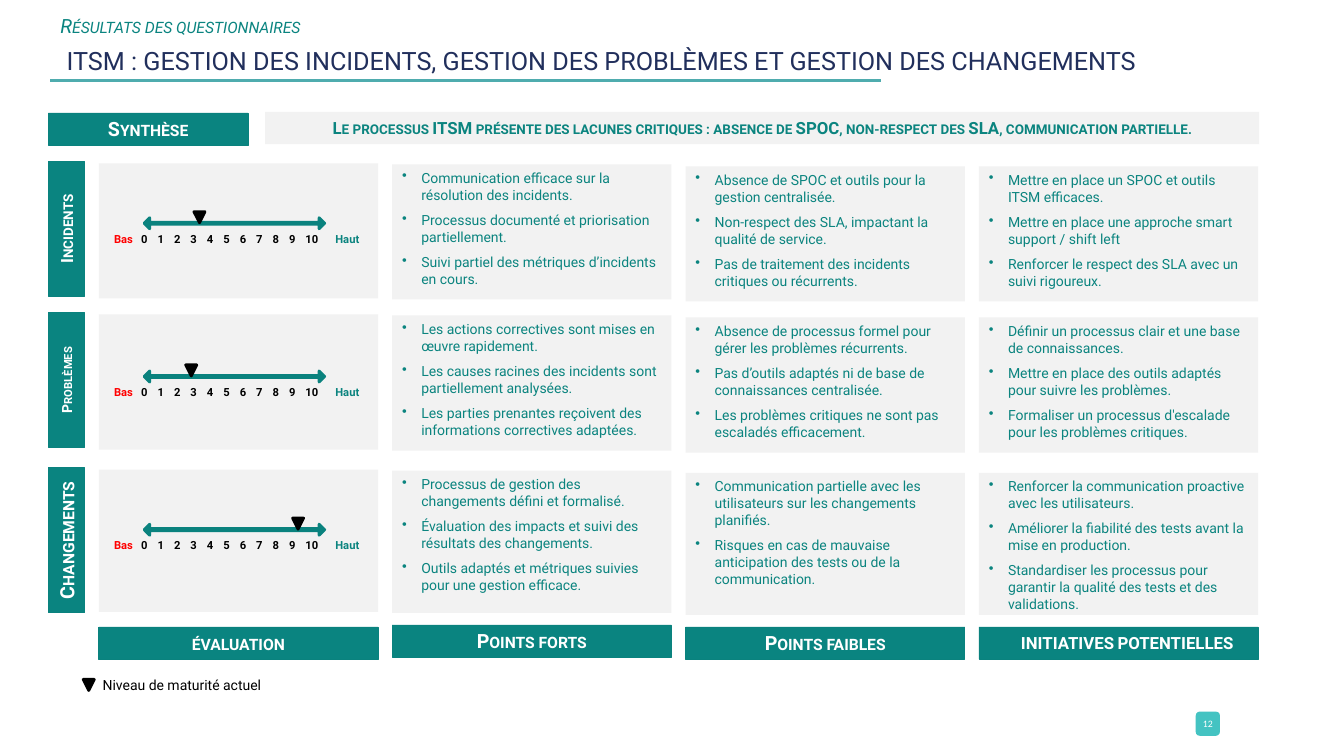
"""Build the ITSM maturity summary slide."""
from dataclasses import dataclass

from lxml import etree
from pptx import Presentation
from pptx.dml.color import RGBColor
from pptx.enum.shapes import MSO_CONNECTOR, MSO_SHAPE
from pptx.enum.text import MSO_ANCHOR, MSO_AUTO_SIZE, PP_ALIGN
from pptx.oxml.ns import qn
from pptx.util import Inches, Pt

LEFT, CENTER = PP_ALIGN.LEFT, PP_ALIGN.CENTER
TOP, MIDDLE = MSO_ANCHOR.TOP, MSO_ANCHOR.MIDDLE
NO_FIT = MSO_AUTO_SIZE.NONE
RECTANGLE, ROUNDED = MSO_SHAPE.RECTANGLE, MSO_SHAPE.ROUNDED_RECTANGLE
TRIANGLE, DOUBLE_ARROW = MSO_SHAPE.ISOSCELES_TRIANGLE, MSO_SHAPE.LEFT_RIGHT_ARROW
STRAIGHT = MSO_CONNECTOR.STRAIGHT


@dataclass(frozen=True)
class Theme:
    """Colours, fonts and type sizes of the slide."""
    teal: str = "0A8480"
    teal_edge: str = "0A827E"
    teal_text: str = "0B847F"
    panel: str = "F2F2F2"
    navy: str = "212F5C"
    rule: str = "4FACAE"
    badge: str = "44C3C2"
    white: str = "FFFFFF"
    black: str = "000000"
    red: str = "FF0000"
    font: str = "Roboto"
    badge_font: str = "Calibri"
    title: int = 18
    heading: int = 14
    strong: int = 12
    body: int = 10
    scale: int = 8
    page: int = 7


@dataclass(frozen=True)
class Box:
    """A rectangle in inches."""
    left: float
    top: float
    width: float
    height: float

    def lengths(self):
        """Return the four sides as slide lengths."""
        return [Inches(side) for side in (self.left, self.top, self.width, self.height)]


THEME = Theme()
PANEL_LEFT, PANEL_STEP, PANEL_WIDTH = 0.98, 2.91, 2.77
SCALE_TOP, SCALE_STEP = 2.25, 1.52
COLUMNS = [
    ("évaluation", THEME.heading, 0, 6.22, 0.1),
    ("Points forts", THEME.heading, 0.01, 6.2, 0.1),
    ("Points faibles", THEME.heading, 0.03, 6.22, 0.1),
    ("INITIATIVES POTENTIELLES", THEME.strong, 0.03, 6.22, 0.27),
]
ROWS = [
    ("Incidents", THEME.strong, 1.62, 1.34, 1.34, 3.3, [
        ["Communication efficace sur la résolution des incidents.",
         "Processus documenté et priorisation partiellement.",
         "Suivi partiel des métriques d’incidents en cours."],
        ["Absence de SPOC et outils pour la gestion centralisée.",
         "Non-respect des SLA, impactant la qualité de service.",
         "Pas de traitement des incidents critiques ou récurrents."],
        ["Mettre en place un SPOC et outils ITSM efficaces.",
         "Mettre en place une approche smart support / shift left",
         "Renforcer le respect des SLA avec un suivi rigoureux."]]),
    ("Problèmes", THEME.body, 3.12, 1.34, 1.34, 2.8, [
        ["Les actions correctives sont mises en œuvre rapidement.",
         "Les causes racines des incidents sont partiellement analysées.",
         "Les parties prenantes reçoivent des informations correctives adaptées."],
        ["Absence de processus formel pour gérer les problèmes récurrents.",
         "Pas d’outils adaptés ni de base de connaissances centralisée.",
         "Les problèmes critiques ne sont pas escaladés efficacement."],
        ["Définir un processus clair et une base de connaissances.",
         "Mettre en place des outils adaptés pour suivre les problèmes.",
         "Formaliser un processus d'escalade pour les problèmes critiques."]]),
    ("Changements", THEME.heading, 4.66, 1.41, 1.44, 9.3, [
        ["Processus de gestion des changements défini et formalisé.",
         "Évaluation des impacts et suivi des résultats des changements.",
         "Outils adaptés et métriques suivies pour une gestion efficace."],
        ["Communication partielle avec les utilisateurs sur les changements planifiés.",
         "Risques en cas de mauvaise anticipation des tests ou de la communication."],
        ["Renforcer la communication proactive avec les utilisateurs.",
         "Améliorer la fiabilité des tests avant la mise en production.",
         "Standardiser les processus pour garantir la qualité des tests et des validations."]]),
]


def format_paragraph(paragraph, size, color, align=LEFT, bold=False, italic=False,
                     small_caps=False, font=THEME.font):
    """Set the alignment of a paragraph and the type of its runs."""
    paragraph.alignment = align
    for run in paragraph.runs:
        run.font.name, run.font.size = font, Pt(size)
        run.font.bold, run.font.italic = bold, italic
        run.font.color.rgb = RGBColor.from_string(color)
        if small_caps:
            run.font._element.set("cap", "small")


def write(shape, text, size, color, anchor=MIDDLE, margin=None, wrap=True, **style):
    """Fill a shape with one formatted paragraph and return the paragraph."""
    frame = shape.text_frame
    frame.text = text
    frame.word_wrap, frame.auto_size, frame.vertical_anchor = wrap, NO_FIT, anchor
    if margin is not None:
        frame.margin_left = frame.margin_right = Inches(margin)
    format_paragraph(frame.paragraphs[0], size, color, **style)
    return frame.paragraphs[0]


def add_label(slide, box, text, size, color, **style):
    """Add a text box holding one line."""
    write(slide.shapes.add_textbox(*box.lengths()), text, size, color, **style)


def add_block(slide, box, fill, edge=None, edge_width=0.5, kind=RECTANGLE):
    """Add a flat filled shape, outlined when an edge colour is given."""
    shape = slide.shapes.add_shape(kind, *box.lengths())
    shape.shadow.inherit = False
    shape.fill.solid()
    shape.fill.fore_color.rgb = RGBColor.from_string(fill)
    if edge:
        shape.line.color.rgb = RGBColor.from_string(edge)
        shape.line.width = Pt(edge_width)
    else:
        shape.line.fill.background()
    return shape


def add_banner(slide, box, text, size):
    """Add a teal heading with white small capitals."""
    shape = add_block(slide, box, THEME.teal, THEME.teal_edge)
    write(shape, text, size, THEME.white, align=CENTER, bold=True, small_caps=True)
    return shape


def add_marker(slide, center, top):
    """Add the black triangle that points down at a level."""
    box = Box(center - 0.055, top, 0.11, 0.11)
    add_block(slide, box, THEME.black, THEME.black, 2, TRIANGLE).rotation = 180


def add_header(slide, box):
    """Place the subtitle, the title and the rule below them."""
    title, subtitle = slide.shapes.title, slide.placeholders[1]
    places = [(subtitle, Box(box.left, box.top, 4.96, 0.32)),
              (title, Box(box.left, box.top + 0.28, box.width, 0.47))]
    for shape, place in places:
        shape.left, shape.top, shape.width, shape.height = place.lengths()
    paragraph = write(subtitle, "Résultats des questionnaires", THEME.heading, THEME.teal,
                      anchor=TOP, italic=True, small_caps=True)
    properties = paragraph._p.get_or_add_pPr()
    properties.set("marL", "0")
    properties.set("indent", "0")
    etree.SubElement(properties, qn("a:buNone"))
    paragraph.space_before, paragraph.line_spacing = Pt(0), Pt(19.2)
    paragraph = write(
        title, "ITSM : GESTION DES INCIDENTS, GESTION DES PROBLÈMES ET GESTION DES CHANGEMENTS",
        THEME.title, THEME.navy, margin=0.16)
    paragraph.line_spacing = Pt(26)
    rule_top = Inches(box.top + box.height)
    rule = slide.shapes.add_connector(
        STRAIGHT, Inches(box.left), rule_top, Inches(box.left + 8.24), rule_top)
    rule.line.color.rgb, rule.line.width = RGBColor.from_string(THEME.rule), Pt(2)
    etree.SubElement(rule._element.spPr, qn("a:effectLst"))


def add_summary(slide, box):
    """Place the summary heading and its sentence."""
    add_banner(slide, Box(box.left, box.top + 0.01, 1.98, box.height), "Synthèse", THEME.heading)
    sentence = Box(box.left + 2.15, box.top, box.width - 2.15, box.height)
    write(add_block(slide, sentence, THEME.panel),
          "Le processus ITSM présente des lacunes critiques : absence de SPOC, "
          "non-respect des SLA, communication partielle.",
          THEME.strong, THEME.teal_text, align=CENTER, bold=True, small_caps=True)


def add_scale(slide, box, level):
    """Place the scale from 0 to 10 with a marker at the level."""
    ends = [("Bas", -0.01, 0.51, THEME.red), ("Haut", 2.17, 0.59, THEME.teal_text)]
    for text, offset, width, color in ends:
        add_label(slide, Box(box.left + offset, box.top, width, box.height), text,
                  THEME.scale, color, align=CENTER, bold=True)
    first, step = box.left + 0.42, 0.163
    for number in range(11):
        add_label(slide, Box(first + step * number, box.top, 0.11, box.height), str(number),
                  THEME.scale, THEME.black, margin=0, wrap=False, bold=True)
    arrow = add_block(slide, Box(box.left + 0.45, box.top - 0.09, 1.79, 0.11),
                      THEME.teal_text, THEME.teal_edge, 2, DOUBLE_ARROW)
    arrow.adjustments[0], arrow.adjustments[1] = 0.187, 0.5
    add_marker(slide, first + 0.04 + step * level, box.top - 0.15)


def add_points(slide, box, points):
    """Place a grey panel with a bulleted list."""
    frame = add_block(slide, box, THEME.panel).text_frame
    frame.word_wrap, frame.vertical_anchor = True, TOP
    frame.text = "\n".join(points)
    for index, paragraph in enumerate(frame.paragraphs):
        properties = paragraph._p.get_or_add_pPr()
        properties.set("marL", str(Inches(0.19)))
        properties.set("indent", str(-Inches(0.19)))
        etree.SubElement(properties, qn("a:buChar")).set("char", "•")
        paragraph.space_before = Pt(6 if index else 0)
        format_paragraph(paragraph, THEME.body, THEME.teal_text)


def add_row(slide, box, row, scale_top):
    """Place the turned label, the scale panel and the lists of one process."""
    name, size, _, _, label_length, level, lists = row
    center = box.top - 0.02 + label_length / 2
    label = Box(0.66 - label_length / 2, center - 0.18, label_length, 0.36)
    add_banner(slide, label, name, size).rotation = 270
    add_block(slide, box, THEME.panel)
    add_scale(slide, Box(box.left, scale_top, box.width, 0.24), level)
    for index, points in enumerate(lists, 1):
        panel = Box(box.left + PANEL_STEP * index, box.top + COLUMNS[index][2],
                    box.width, box.height)
        add_points(slide, panel, points)


def add_column_headings(slide, box):
    """Place the heading under each column."""
    for index, (text, size, _, top, margin) in enumerate(COLUMNS):
        place = Box(box.left + PANEL_STEP * index, top, box.width, box.height)
        add_banner(slide, place, text, size).text_frame.margin_left = Inches(margin)


def add_footer(slide, box):
    """Place the marker legend and the page number."""
    add_marker(slide, box.left + 0.05, box.top + 0.08)
    add_label(slide, Box(box.left + 0.09, box.top, 2.34, 0.27), "Niveau de maturité actuel",
              THEME.body, THEME.black)
    badge = add_block(slide, Box(box.left + box.width - 0.24, box.top + 0.4, 0.24, 0.24),
                      THEME.badge, kind=ROUNDED)
    write(badge, "12", THEME.page, THEME.white, margin=0.04, align=CENTER, font=THEME.badge_font)


def main():
    """Build the slide and save it."""
    presentation = Presentation()
    presentation.slide_width, presentation.slide_height = Inches(13.33), Inches(7.5)
    slide = presentation.slides.add_slide(presentation.slide_layouts[1])
    add_header(slide, Box(0.5, 0.05, 12.03, 0.75))
    add_summary(slide, Box(0.48, 1.11, 12.01, 0.32))
    for index, row in enumerate(ROWS):
        box = Box(PANEL_LEFT, row[2], PANEL_WIDTH, row[3])
        add_row(slide, box, row, SCALE_TOP + SCALE_STEP * index)
    add_column_headings(slide, Box(PANEL_LEFT, 6.22, PANEL_WIDTH, 0.32))
    add_footer(slide, Box(0.83, 6.66, 11.27, 0.64))
    presentation.save("out.pptx")


if __name__ == "__main__":
    main()
